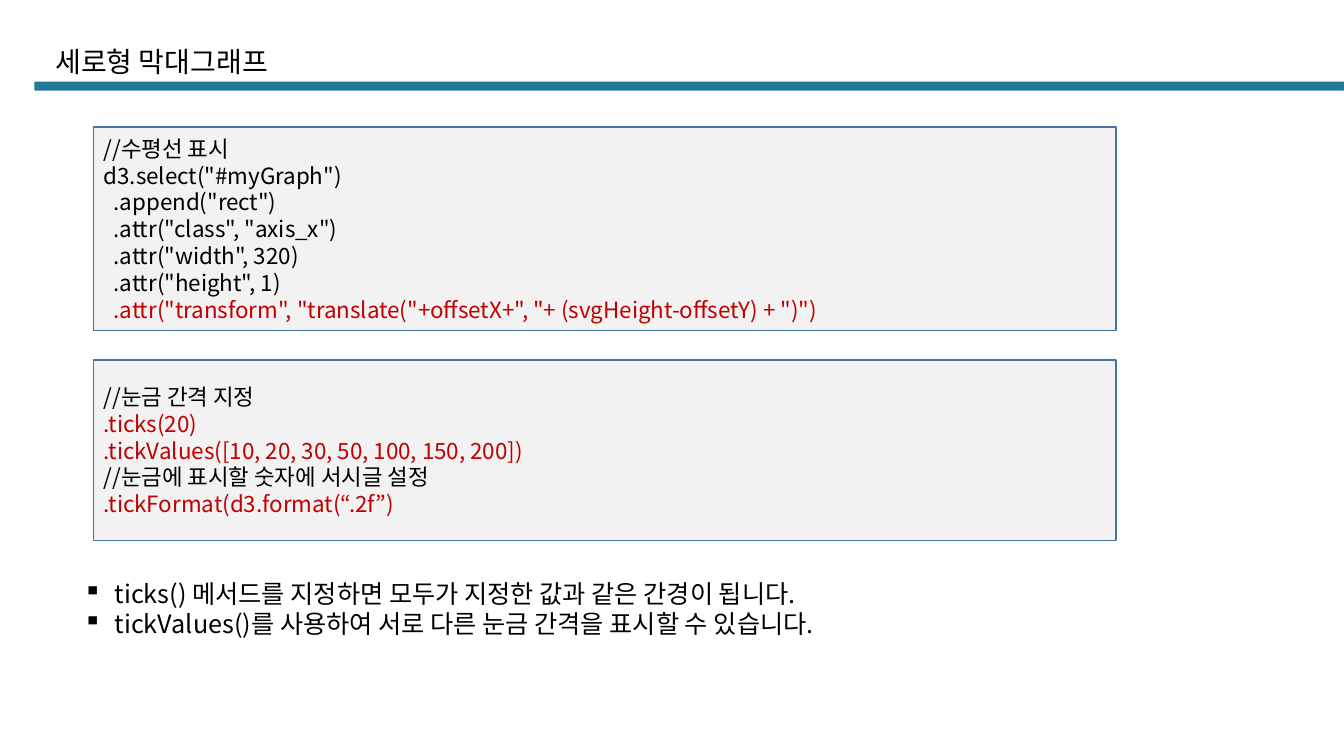
import pptx
import pptx.dml.color
import pptx.enum.shapes
import pptx.enum.text
import pptx.oxml.ns
import pptx.util
from lxml import etree

# Content: each code line is (text, colour name)
TITLE = "세로형 막대그래프"
AXIS = [
    ("//수평선 표시", "black"),
    ('d3.select("#myGraph")', "black"),
    ('  .append("rect")', "black"),
    ('  .attr("class", "axis_x")', "black"),
    ('  .attr("width", 320)', "black"),
    ('  .attr("height", 1)', "black"),
    ('  .attr("transform", "translate("+offsetX+", "+ (svgHeight-offsetY) + ")")', "red"),
]
TICKS = [
    ("//눈금 간격 지정", "black"),
    (".ticks(20)", "red"),
    (".tickValues([10, 20, 30, 50, 100, 150, 200])", "red"),
    ("//눈금에 표시할 숫자에 서시글 설정", "black"),
    (".tickFormat(d3.format(“.2f”)", "red"),
]
NOTES = [
    ("ticks() 메서드를 지정하면 모두가 지정한 값과 같은 간경이 됩니다.", "black"),
    ("tickValues()를 사용하여 서로 다른 눈금 간격을 표시할 수 있습니다.", "black"),
]
COLORS = {"black": "000000", "red": "C00000", "bar": "22779B",
          "panel": "F2F2F2", "edge": "43739E"}
FONT = "Noto Sans CJK KR"

# Layout in inches
WIDE, HIGH = 13.33, 7.5
BAR_X = 0.34
CODE_X, CODE_W, CODE_Y, GAP = 0.93, 10.14, 1.26, 0.29
PANELS = [(AXIS, 2.02), (TICKS, 1.79)]
INDENT = 0.31

inch = pptx.util.Inches
kinds = pptx.enum.shapes.MSO_SHAPE
anchors = pptx.enum.text.MSO_ANCHOR
aligns = pptx.enum.text.PP_ALIGN
qn = pptx.oxml.ns.qn


def rgb(name):
    return pptx.dml.color.RGBColor.from_string(COLORS[name])


def write(shape, lines, size, anchor):
    frame = shape.text_frame
    frame.word_wrap = True
    frame.vertical_anchor = anchor
    frame.text = "\n".join(text for text, _ in lines)
    for para, (_, color) in zip(frame.paragraphs, lines):
        para.alignment = aligns.LEFT
        for run in para.runs:
            run.font.size = pptx.util.Pt(size)
            run.font.name = FONT
            run.font.color.rgb = rgb(color)
            east = etree.SubElement(run.font._element, qn("a:ea"))
            east.set("typeface", FONT)
    return frame


def box(slide, kind, place, fill):
    shape = slide.shapes.add_shape(kind, *map(inch, place))
    shape.shadow.inherit = False
    shape.fill.solid()
    shape.fill.fore_color.rgb = rgb(fill)
    shape.line.fill.background()
    return shape


def label(slide, place, lines, size):
    shape = slide.shapes.add_textbox(*map(inch, place))
    return write(shape, lines, size, anchors.TOP)


def main():
    deck = pptx.Presentation()
    deck.slide_width, deck.slide_height = inch(WIDE), inch(HIGH)
    slide = deck.slides.add_slide(deck.slide_layouts[6])

    # Heading with its bar
    bar = box(slide, kinds.ROUNDED_RECTANGLE, (BAR_X, 0.81, WIDE - BAR_X, 0.09), "bar")
    bar.adjustments[0] = 0.13
    head = label(slide, (0.45, 0.43, 12, 0.47), [(TITLE, "black")], 20)
    head.paragraphs[0].line_spacing = 0.9

    # Code panels, stacked
    top = CODE_Y
    for lines, tall in PANELS:
        panel = box(slide, kinds.RECTANGLE, (CODE_X, top, CODE_W, tall), "panel")
        panel.line.color.rgb = rgb("edge")
        panel.line.width = pptx.util.Pt(1)
        write(panel, lines, 16, anchors.MIDDLE)
        top += tall + GAP

    # Bulleted notes
    notes = label(slide, (0.73, 5.69, 11.73, 0.71), NOTES, 18)
    for para in notes.paragraphs:
        props = para._p.get_or_add_pPr()
        props.set("marL", str(inch(INDENT)))
        props.set("indent", str(-inch(INDENT)))
        etree.SubElement(props, qn("a:buChar")).set("char", "▪")

    deck.save("out.pptx")


if __name__ == "__main__":
    main()
